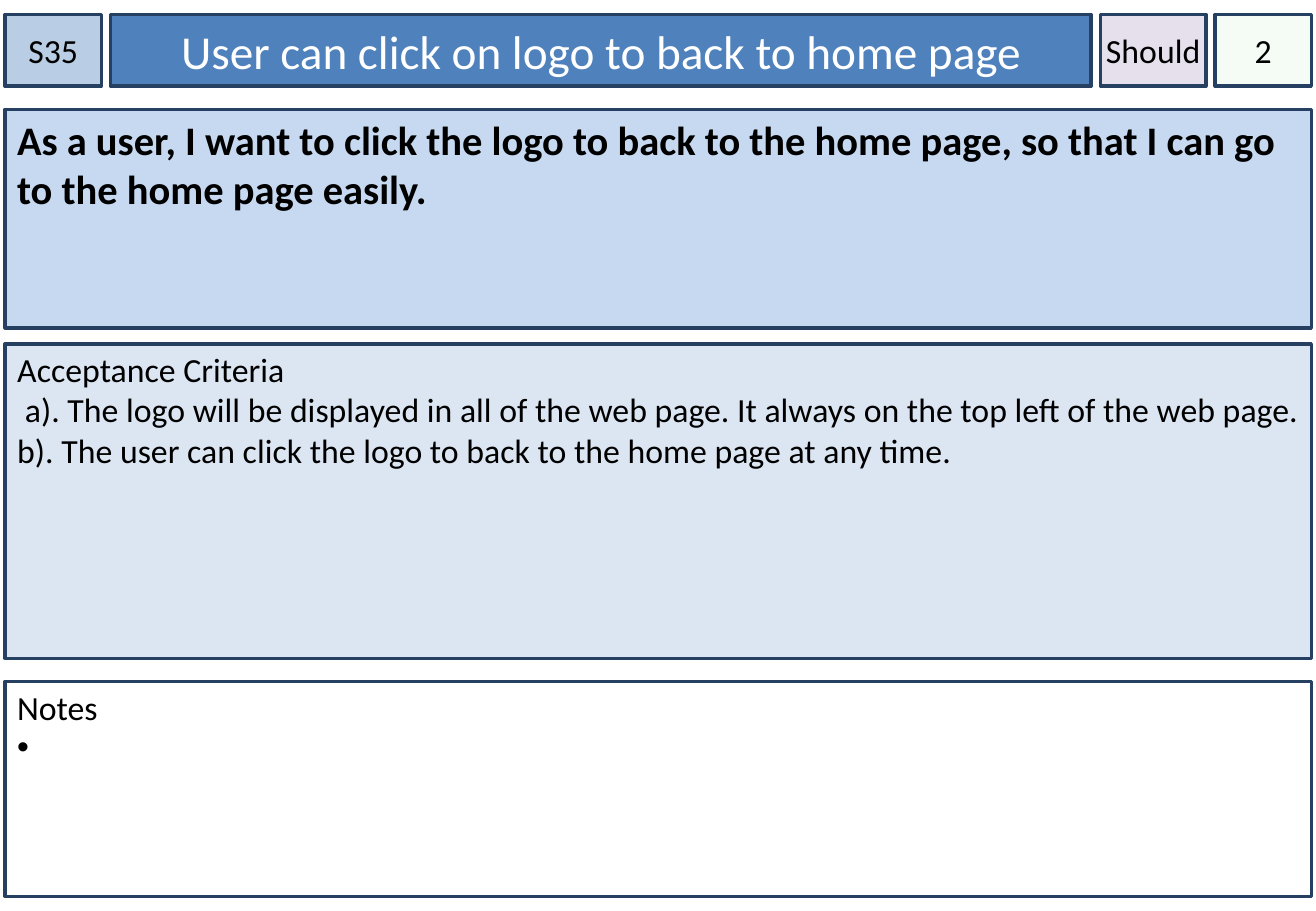
from lxml.etree import SubElement
from pptx import Presentation
from pptx.dml.color import RGBColor
from pptx.enum.shapes import MSO_SHAPE
from pptx.enum.text import MSO_ANCHOR, MSO_AUTO_SIZE, PP_ALIGN
from pptx.oxml.ns import qn
from pptx.util import Pt

NAVY = RGBColor(0x25, 0x40, 0x61)
BLUE = RGBColor(0x4F, 0x81, 0xBD)
ID_BLUE = RGBColor(0xB9, 0xCD, 0xE5)
STORY_BLUE = RGBColor(0xC6, 0xD9, 0xF1)
PALE_BLUE = RGBColor(0xDC, 0xE6, 0xF2)
LILAC = RGBColor(0xE6, 0xE0, 0xEC)
MINT = RGBColor(0xCC, 0xF0, 0xCD)
WHITE = RGBColor(0xFF, 0xFF, 0xFF)
BLACK = RGBColor(0, 0, 0)

# Content: header cells as (name, text, width, fill)
HEADER = [
    ("id", "S35", 57, ID_BLUE),
    ("title", "User can click on logo to back to home page", 581, BLUE),
    ("priority", "Should", 62.5, LILAC),
    ("points", "2", 57, MINT),
]
# Panels as (name, top, height, fill, top inset, size, bold, lines);
# each line is (text, left margin, first-line indent, bullet)
PANELS = [
    ("story", 64.8, 129.6, STORY_BLUE, 3.6, 24, True, [
        ("As a user, I want to click the logo to back to the home page, "
         "so that I can go to the home page easily.", 0, 0, None)]),
    ("criteria", 203.8, 186.5, PALE_BLUE, 2.9, 20, False, [
        ("Acceptance Criteria", 0, 0, None),
        ("a). The logo will be displayed in all of the web page. "
         "It always on the top left of the web page.", 0, 4.5, None),
        ("b). The user can click the logo to back to the home page "
         "at any time.", 0, 0, None)]),
    ("notes", 403.9, 127.4, WHITE, 2.9, 20, False, [
        ("Notes", 0, 0, None),
        (" ", 14.4, -14.4, "•")]),
]
LEFT, WIDTH, GAP = 3, 774, 5.5
HEADER_TOP, HEADER_HEIGHT = 8.6, 42.5


def place(s, x, y, w, h, fill):
    s.left, s.top, s.width, s.height = Pt(x), Pt(y), Pt(w), Pt(h)
    s.fill.solid()
    s.fill.fore_color.rgb = fill
    s.line.color.rgb = NAVY
    s.line.width = Pt(2)
    s.text_frame.auto_size = MSO_AUTO_SIZE.NONE
    s.text_frame.word_wrap = True


def new_box():
    s = slide.shapes.add_shape(MSO_SHAPE.RECTANGLE, 0, 0, 0, 0)
    s.shadow.inherit = False
    return s


def style(p, size, color, align, bold=False):
    p.alignment = align
    p.space_before = Pt(0)
    for r in p.runs:
        r.font.name = "Calibri"
        r.font.size = Pt(size)
        r.font.bold = bold
        r.font.color.rgb = color


def set_indent(p, margin, indent, bullet):
    pPr = p._p.get_or_add_pPr()
    pPr.set("marL", str(Pt(margin)))
    pPr.set("indent", str(Pt(indent)))
    if bullet:
        SubElement(pPr, qn("a:buFont"), typeface="Arial")
        SubElement(pPr, qn("a:buChar"), char=bullet)
    else:
        SubElement(pPr, qn("a:buNone"))


prs = Presentation()
prs.slide_width, prs.slide_height = Pt(779.76), Pt(540)
slide = prs.slides.add_slide(prs.slide_layouts[1])
placeholders = {"title": slide.shapes.title, "criteria": slide.placeholders[1]}

# Header row, cells separated by one gap
x = LEFT
for name, text, width, fill in HEADER:
    s = placeholders.get(name) or new_box()
    place(s, x, HEADER_TOP, width, HEADER_HEIGHT, fill)
    tf = s.text_frame
    tf.text = text
    tf.vertical_anchor = MSO_ANCHOR.MIDDLE
    if name == "title":
        style(tf.paragraphs[0], 28, WHITE, PP_ALIGN.CENTER)
    else:
        tf.margin_left = tf.margin_right = 0
        style(tf.paragraphs[0], 20, BLACK, PP_ALIGN.CENTER)
    if name == "priority":
        tf.word_wrap = False
    if name == "points":
        color = s.fill._xPr.find(qn("a:solidFill"))[0]
        SubElement(color, qn("a:alpha"), val="20000")
    x += width + GAP

# Full-width panels
for name, top, height, fill, inset, size, bold, lines in PANELS:
    s = placeholders.get(name) or new_box()
    place(s, LEFT, top, WIDTH, height, fill)
    tf = s.text_frame
    tf.vertical_anchor = MSO_ANCHOR.TOP
    tf.margin_top = Pt(inset)
    for i, (text, margin, indent, bullet) in enumerate(lines):
        p = tf.add_paragraph() if i else tf.paragraphs[0]
        p.text = text
        set_indent(p, margin, indent, bullet)
        style(p, size, BLACK, PP_ALIGN.LEFT, bold)

prs.save("out.pptx")
